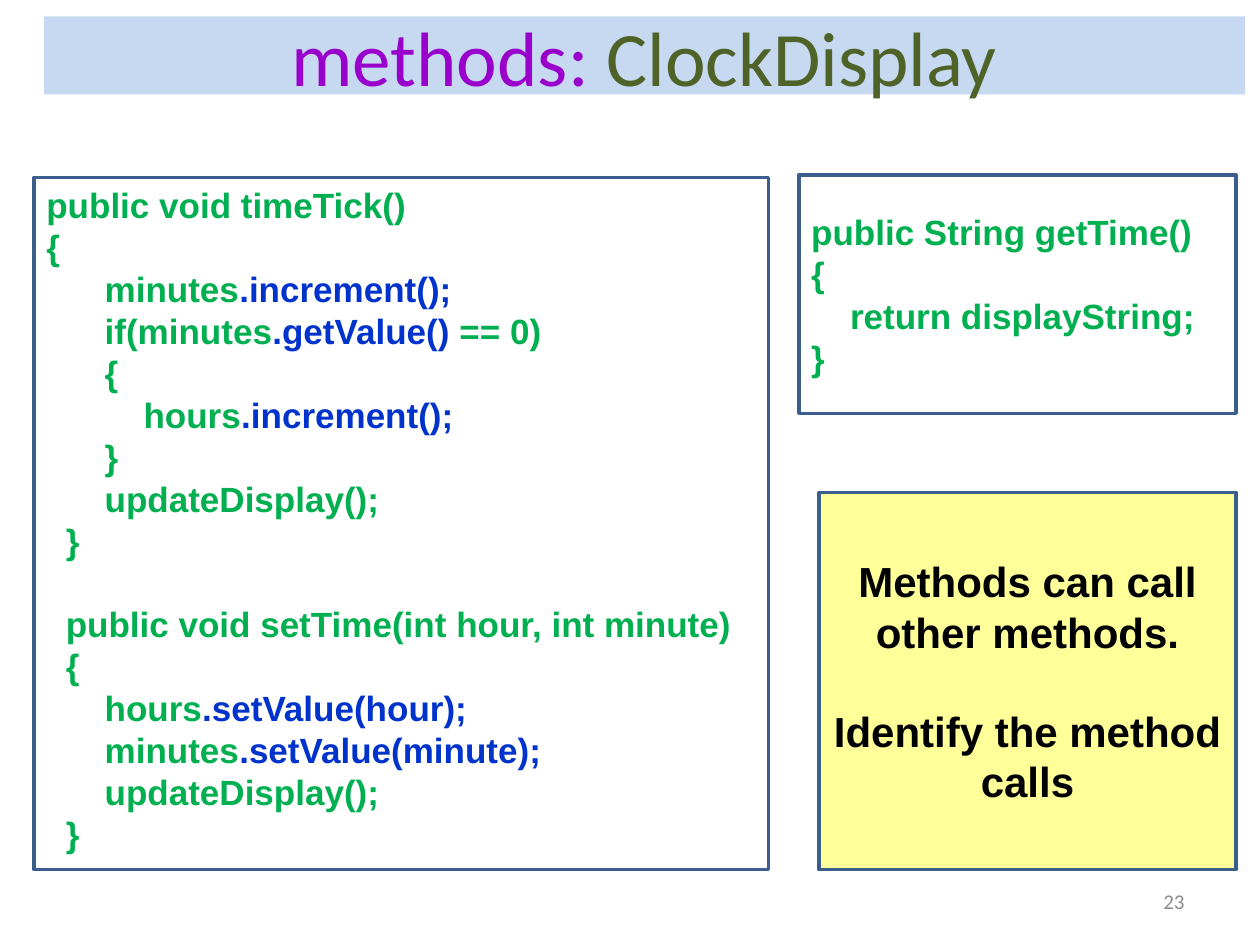
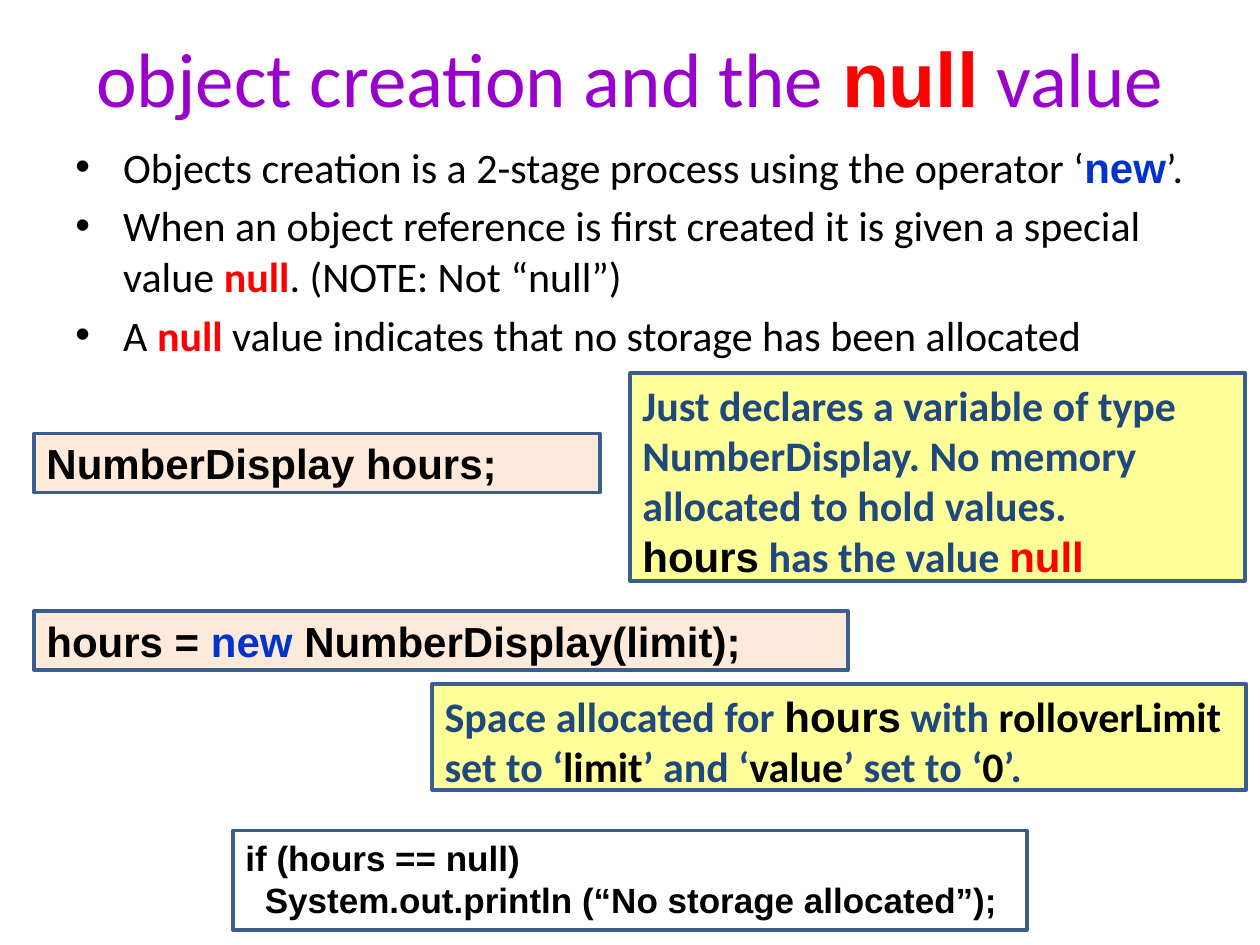
from pptx import Presentation
from pptx.dml.color import RGBColor
from pptx.enum.shapes import MSO_SHAPE
from pptx.enum.text import MSO_ANCHOR, PP_ALIGN
from pptx.oxml.ns import qn
from pptx.util import Inches, Pt
from lxml import etree

COLOURS = {
    "band": "C6D9F1", "purple": "9900CC", "olive": "4F6228", "grey": "8C8C8C",
    "border": "3A5F8C", "green": "00B050", "blue": "0033CC", "red": "FF0000",
    "black": "000000", "white": "FFFFFF", "yellow": "FFFF99", "peach": "FDEADA",
    "navy": "1F497D",
}

# Text styles: each span may override any of these values
TITLE = {"name": "Calibri", "size": 44, "color": "purple", "bold": False}
BODY = {"name": "Calibri", "size": 24, "color": "black", "bold": False}
FOOTER = {"name": "Calibri", "size": 12, "color": "grey", "bold": False}
CODE = {"name": "Arial", "size": 20, "color": "green", "bold": True}
BLACK_CODE = {**CODE, "color": "black"}
BIG_CODE = {**BLACK_CODE, "size": 24}
NOTE = {"name": "Calibri", "size": 24, "color": "navy", "bold": True}

# Span overrides
BLACK = {"color": "black"}
BLUE = {"color": "blue"}
ARIAL_BLACK = {"name": "Arial", "color": "black"}
ARIAL_RED = {"name": "Arial", "color": "red"}
BOLD_RED = {"color": "red", "bold": True}


def rgb(name):
    return RGBColor.from_string(COLOURS[name])


def format_font(font, values):
    for key, value in values.items():
        if key == "color":
            font.color.rgb = rgb(value)
        else:
            setattr(font, key, Pt(value) if key == "size" else value)


def write(box, lines, style, align=PP_ALIGN.LEFT, anchor=MSO_ANCHOR.TOP,
          gaps=None, bullet=False):
    """Write lines of spans; a span is a string or a (string, overrides) pair."""
    frame = box.text_frame
    frame.word_wrap = True
    frame.vertical_anchor = anchor
    for index, line in enumerate(lines):
        para = frame.paragraphs[0] if index == 0 else frame.add_paragraph()
        para.alignment = align
        if gaps and index in gaps:
            para.space_before = Pt(gaps[index])
        if bullet:
            add_bullet(para)
        for part in [line] if isinstance(line, str) else line:
            text, overrides = (part, {}) if isinstance(part, str) else part
            span = para.add_run()
            span.text = text
            format_font(span.font, {**style, **overrides})


def add_bullet(para):
    properties = para._p.get_or_add_pPr()
    properties.set("marL", str(Inches(0.38)))
    properties.set("indent", str(-Inches(0.38)))
    etree.SubElement(properties, qn("a:buFont")).set("typeface", "Arial")
    etree.SubElement(properties, qn("a:buChar")).set("char", "•")


def add_text(page, place, lines, style, **layout):
    box = page.shapes.add_textbox(*map(Inches, place))
    write(box, lines, style, **layout)
    return box


def add_panel(page, place, fill, lines, style, **layout):
    """Outlined rectangle with text."""
    box = page.shapes.add_shape(MSO_SHAPE.RECTANGLE, *map(Inches, place))
    box.shadow.inherit = False
    box.fill.solid()
    box.fill.fore_color.rgb = rgb(fill)
    box.line.color.rgb = rgb("border")
    box.line.width = Pt(2)
    write(box, lines, style, **layout)


def add_title(page, place, spans, band=None):
    box = add_text(page, place, [spans], TITLE,
                   align=PP_ALIGN.CENTER, anchor=MSO_ANCHOR.MIDDLE)
    if band:
        box.fill.solid()
        box.fill.fore_color.rgb = rgb(band)


def add_page_number(page, place, number):
    add_text(page, place, [number], FOOTER,
             align=PP_ALIGN.RIGHT, anchor=MSO_ANCHOR.MIDDLE)


def build_methods(page):
    add_title(page, (0.35, 0.13, 9.53, 0.62),
              ["methods: ", ("ClockDisplay", {"color": "olive"})], band="band")
    add_page_number(page, (7.17, 6.95, 2.33, 0.4), "23")

    # Methods that call other methods
    clock_code = [
        "public void timeTick()",
        "{",
        ["      minutes", (".increment();", BLUE)],
        ["      if(minutes", (".getValue() ", BLUE), "== 0)"],
        "      {",
        ["          hours", (".increment();", BLUE)],
        "      }",
        "      updateDisplay();",
        "  }",
        "  public void setTime(int hour, int minute)",
        "  {",
        ["      hours", (".setValue(hour);", BLUE)],
        ["      minutes", (".setValue(minute);", BLUE)],
        "      updateDisplay();",
        "  }",
    ]
    add_panel(page, (0.27, 1.41, 5.83, 5.49), "white", clock_code, CODE,
              gaps={9: 23})

    # Accessor
    getter_code = ["public String getTime()", "{", "    return displayString;", "}"]
    add_panel(page, (6.34, 1.39, 3.47, 1.89), "white", getter_code, CODE,
              anchor=MSO_ANCHOR.MIDDLE)

    # Exercise
    add_panel(page, (6.5, 3.91, 3.31, 2.99), "yellow",
              ["Methods can call other methods.", "Identify the method calls"],
              BIG_CODE, align=PP_ALIGN.CENTER, anchor=MSO_ANCHOR.MIDDLE,
              gaps={1: 28})


def build_null_value(page):
    add_title(page, (0.5, 0.3, 9, 0.61),
              ["object creation and the ", ("null", {**ARIAL_RED, "bold": True}),
               " value"])

    # Bulleted explanation
    points = [
        ["Objects creation is a 2-stage process using the operator ‘",
         ("new", {"name": "Arial", "color": "blue", "bold": True}), "’."],
        ["When an object reference is first created it is given a special value ",
         ("null", BOLD_RED), ". (NOTE: Not “null”)"],
        ["A ", ("null", BOLD_RED),
         " value indicates that no storage has been allocated"],
    ]
    add_text(page, (0.5, 1.07, 9, 1.85), points, BODY, bullet=True,
             gaps={1: 4.8, 2: 4.8})

    # Declaration and its note
    add_panel(page, (0.27, 3.44, 4.49, 0.47), "peach", ["NumberDisplay hours;"],
              BIG_CODE, anchor=MSO_ANCHOR.MIDDLE)
    add_panel(page, (5, 2.96, 4.88, 1.65), "yellow",
              ["Just declares a variable of type NumberDisplay. "
               "No memory allocated to hold values.",
               [("hours", ARIAL_BLACK), " has the value ", ("null", ARIAL_RED)]],
              NOTE)

    # Creation and its note
    add_panel(page, (0.27, 4.85, 6.46, 0.47), "peach",
              [["hours = ", ("new ", BLUE), "NumberDisplay(limit);"]],
              BIG_CODE, anchor=MSO_ANCHOR.MIDDLE)
    add_panel(page, (3.43, 5.43, 6.46, 0.84), "yellow",
              [["Space allocated for ", ("hours", ARIAL_BLACK), " with ",
                ("rolloverLimit", BLACK), " set to ‘", ("limit", BLACK),
                "’ and ‘", ("value", BLACK), "’ set to ‘", ("0", BLACK), "’."]],
              NOTE)

    # Null test
    add_panel(page, (1.85, 6.59, 6.3, 0.79), "white",
              ["if (hours == null)",
               "  System.out.println (“No storage allocated”);"], BLACK_CODE)


def main():
    deck = Presentation()
    deck.slide_width, deck.slide_height = Inches(10), Inches(7.5)
    for build in (build_methods, build_null_value):
        build(deck.slides.add_slide(deck.slide_layouts[6]))
    deck.save("out.pptx")


if __name__ == "__main__":
    main()
